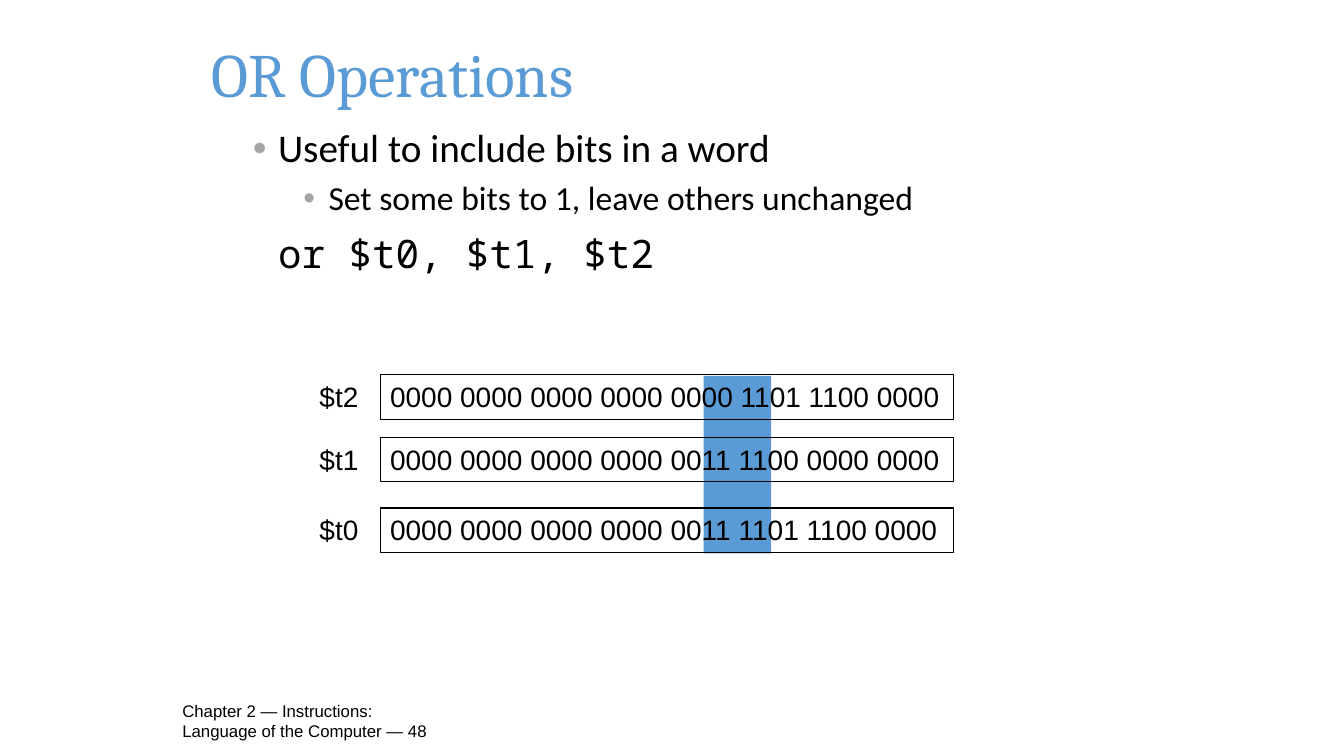
import pptx
import pptx.dml.color
import pptx.enum.shapes
import pptx.enum.text
import pptx.oxml.ns
import pptx.util
from lxml import etree

CELL = 0.1  # inches per grid column and row
COLUMNS, ROWS = 133.3, 75
COLORS = {"accent": "5B9BD5", "bullet": "A5A5A5", "ink": "000000"}
ANCHOR = pptx.enum.text.MSO_ANCHOR
LABEL_COLUMN, LABEL_WIDTH = 30.7, 5.9
WORD_COLUMN, WORD_WIDTH, WORD_HEIGHT = 37.7, 56.9, 4.4

REGISTERS = [
    ("$t2", 37.2, "0000 0000 0000 0000 0000 1101 1100 0000"),
    ("$t1", 43.4, "0000 0000 0000 0000 0011 1100 0000 0000"),
    ("$t0", 50.4, "0000 0000 0000 0000 0011 1101 1100 0000"),
]
POINTS = [
    dict(text="Useful to include bits in a word", size=28, font="Calibri",
         margin=0.25, bullet=True, format={"line_spacing": 0.9}),
    dict(text="Set some bits to 1, leave others unchanged", size=24, font="Calibri",
         margin=0.75, bullet=True,
         format={"level": 1, "line_spacing": 0.9, "space_before": pptx.util.Pt(7.2)}),
    dict(text="or $t0, $t1, $t2", size=28, font="Noto Sans Mono",
         margin=0.25, bullet=False,
         format={"line_spacing": 0.9, "space_before": pptx.util.Pt(12)}),
]


def grid(*cells):
    return [pptx.util.Inches(cell * CELL) for cell in cells]


def color(name):
    return pptx.dml.color.RGBColor.from_string(COLORS[name])


def apply_format(target, values):
    for name, value in values.items():
        setattr(target, name, value)


def write(para, text, size, font, ink="ink"):
    span = para.add_run()
    span.text = text
    apply_format(span.font, {"size": pptx.util.Pt(size), "name": font})
    span.font.color.rgb = color(ink)


def indent(para, margin, bullet):
    """Set the left margin and, if wanted, a hanging bullet."""
    properties = para._p.get_or_add_pPr()
    properties.set("marL", str(pptx.util.Inches(margin)))
    properties.set("indent", str(pptx.util.Inches(-0.25 if bullet else 0)))
    if bullet:
        tag = pptx.oxml.ns.qn
        bullet_color = etree.SubElement(properties, tag("a:buClr"))
        etree.SubElement(bullet_color, tag("a:srgbClr"), val=COLORS["bullet"])
        etree.SubElement(properties, tag("a:buFont"), typeface="Arial")
        etree.SubElement(properties, tag("a:buChar"), char="•")


def add_text(page, place, text, size, font, ink="ink", anchor=ANCHOR.MIDDLE):
    box = page.shapes.add_textbox(*grid(*place))
    apply_format(box.text_frame, {"word_wrap": True, "vertical_anchor": anchor})
    write(box.text_frame.paragraphs[0], text, size, font, ink)
    return box


def add_points(page, place, points):
    frame = page.shapes.add_textbox(*grid(*place)).text_frame
    frame.word_wrap = True
    for number, point in enumerate(points):
        para = frame.add_paragraph() if number else frame.paragraphs[0]
        indent(para, point["margin"], point["bullet"])
        apply_format(para, point["format"])
        write(para, point["text"], point["size"], point["font"])


def add_rectangle(page, place):
    box = page.shapes.add_shape(pptx.enum.shapes.MSO_SHAPE.RECTANGLE, *grid(*place))
    box.shadow.inherit = False
    return box


def add_highlight(page, place):
    band = add_rectangle(page, place)
    band.fill.solid()
    band.fill.fore_color.rgb = color("accent")
    band.line.fill.background()


def add_register(page, name, row, bits):
    """Draw one outlined register word with its name on the left."""
    word = add_rectangle(page, (WORD_COLUMN, row, WORD_WIDTH, WORD_HEIGHT))
    word.fill.background()
    word.line.color.rgb = color("ink")
    word.line.width = pptx.util.Pt(0.75)
    write(word.text_frame.paragraphs[0], bits, 20, "Arial")
    label = add_text(page, (LABEL_COLUMN, row, LABEL_WIDTH, WORD_HEIGHT), name, 20, "Arial")
    for box in (word, label):
        box.text_frame.paragraphs[0].alignment = pptx.enum.text.PP_ALIGN.LEFT
        apply_format(box.text_frame, {
            "word_wrap": False,
            "vertical_anchor": ANCHOR.TOP,
            "auto_size": pptx.enum.text.MSO_AUTO_SIZE.SHAPE_TO_FIT_TEXT,
        })


def main():
    deck = pptx.Presentation()
    deck.slide_width, deck.slide_height = grid(COLUMNS, ROWS)
    page = deck.slides.add_slide(deck.slide_layouts[6])
    add_text(page, (17.1, 69.5, 27.9, 4),
             "Chapter 2 — Instructions: Language of the Computer — 48", 12, "Arial")
    add_highlight(page, (69.8, 37.3, 6.7, 17.6))
    add_text(page, (20, 0, 98.8, 14.5), "OR Operations", 44, "Cambria", "accent")
    add_points(page, (24.1, 12.3, 90.5, 22.7), POINTS)
    for name, row, bits in REGISTERS:
        add_register(page, name, row, bits)
    deck.save("out.pptx")


if __name__ == "__main__":
    main()
